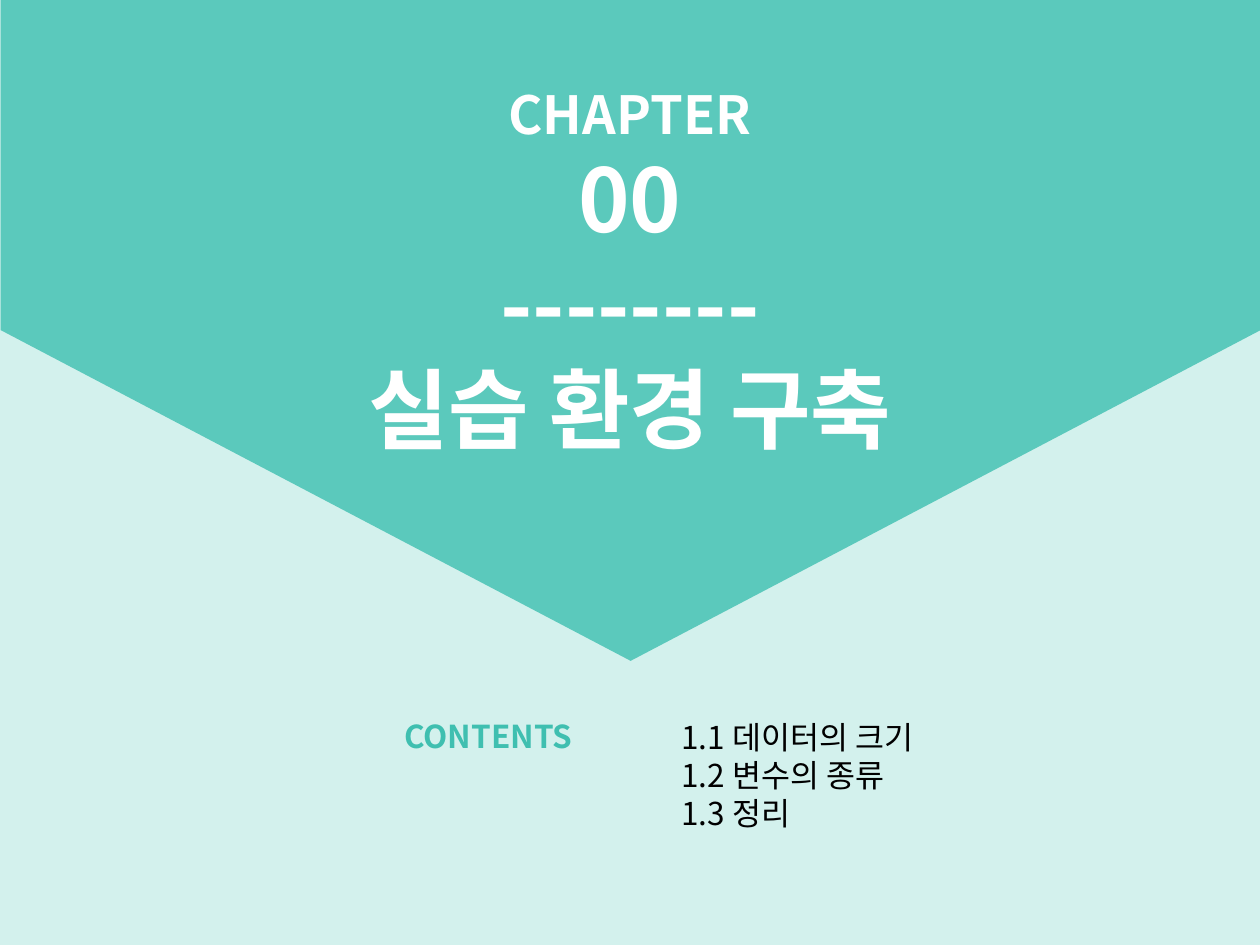
import pptx
import pptx.dml.color
import pptx.enum.shapes
import pptx.enum.text
import pptx.util

Inches = pptx.util.Inches
Shapes = pptx.enum.shapes.MSO_SHAPE
Align = pptx.enum.text.PP_ALIGN


def color(value):
    return pptx.dml.color.RGBColor.from_string(value)


def add_text(page, place, lines, align, hue, bold):
    box = page.shapes.add_textbox(*map(Inches, place))
    box.text_frame.word_wrap = True
    box.text_frame.auto_size = pptx.enum.text.MSO_AUTO_SIZE.SHAPE_TO_FIT_TEXT
    for index, (words, size) in enumerate(lines):
        para = box.text_frame.paragraphs[0] if index == 0 else box.text_frame.add_paragraph()
        para.alignment = align
        span = para.add_run()
        span.text = words
        span.font.color.rgb = color(hue)
        values = {"name": "Noto Sans CJK KR", "size": pptx.util.Pt(size), "bold": bold}
        for name, value in values.items():
            setattr(span.font, name, value)
        props = span.font._element
        east = pptx.oxml.parse_xml(
            '<a:ea xmlns:a="http://schemas.openxmlformats.org/drawingml/2006/main"'
            ' typeface="Noto Sans CJK KR"/>'
        )
        props.append(east)


deck = pptx.Presentation()
deck.slide_width = Inches(10)
deck.slide_height = Inches(7.5)
page = deck.slides.add_slide(deck.slide_layouts[6])

backdrop = page.shapes.add_group_shape()
for kind, place, hue, turn in [
    (Shapes.RECTANGLE, (0, 0, 10, 7.5), "D3F1ED", 0),
    (Shapes.PENTAGON, (2.38, -2.38, 5.25, 10), "5BC9BC", 90),
]:
    panel = backdrop.shapes.add_shape(kind, *map(Inches, place))
    panel.rotation = turn
    panel.shadow.inherit = False
    panel.fill.solid()
    panel.fill.fore_color.rgb = color(hue)
    panel.line.fill.background()

title = [("CHAPTER", 30), ("00", 50), ("--------", 50), ("실습 환경 구축", 50)]
topics = ["데이터의 크기", "변수의 종류", "정리"]
contents = [(f"1.{number} {topic}", 18) for number, topic in enumerate(topics, 1)]

add_text(page, (2.4, 0.6, 5.2, 3.13), title, Align.CENTER, "FFFFFF", True)
add_text(page, (5.31, 5.65, 3.31, 1.01), contents, Align.LEFT, "000000", False)
add_text(page, (3.11, 5.64, 1.73, 0.4), [("CONTENTS", 18)], Align.LEFT, "3FBFB0", True)

deck.save("out.pptx")
